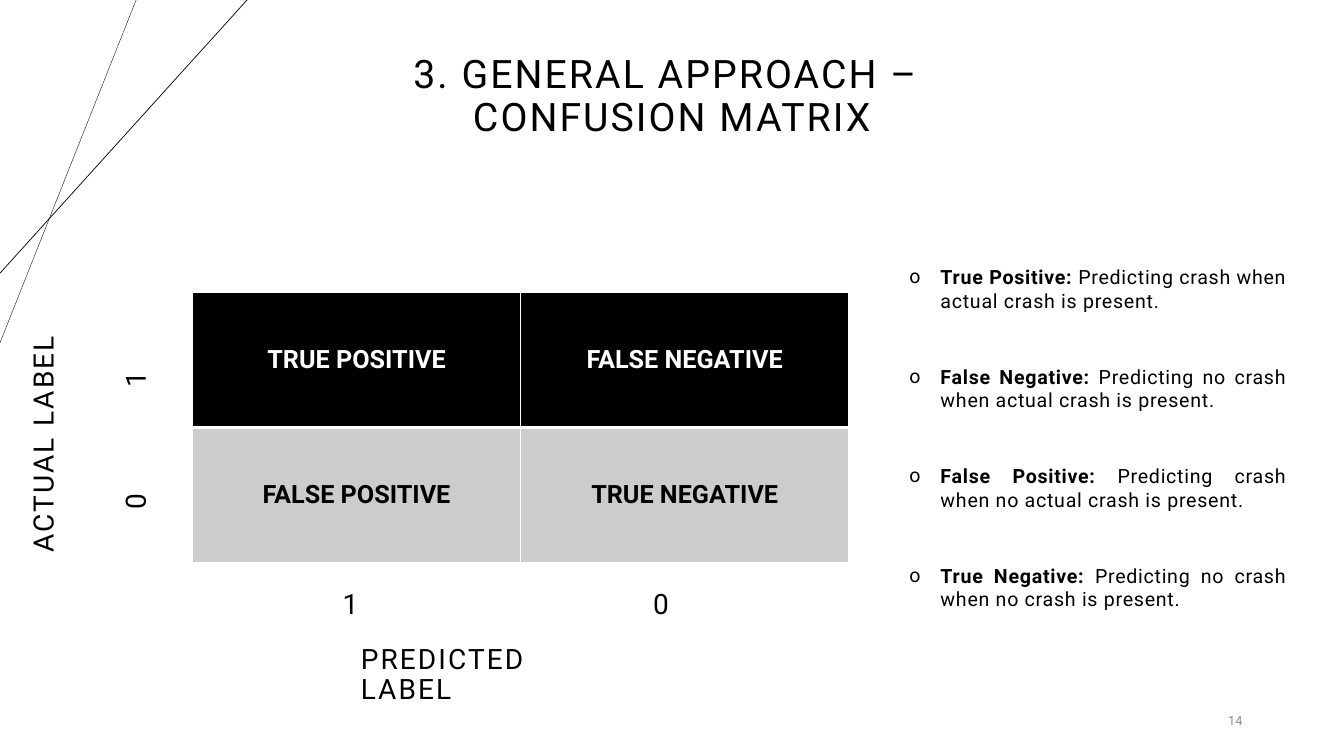
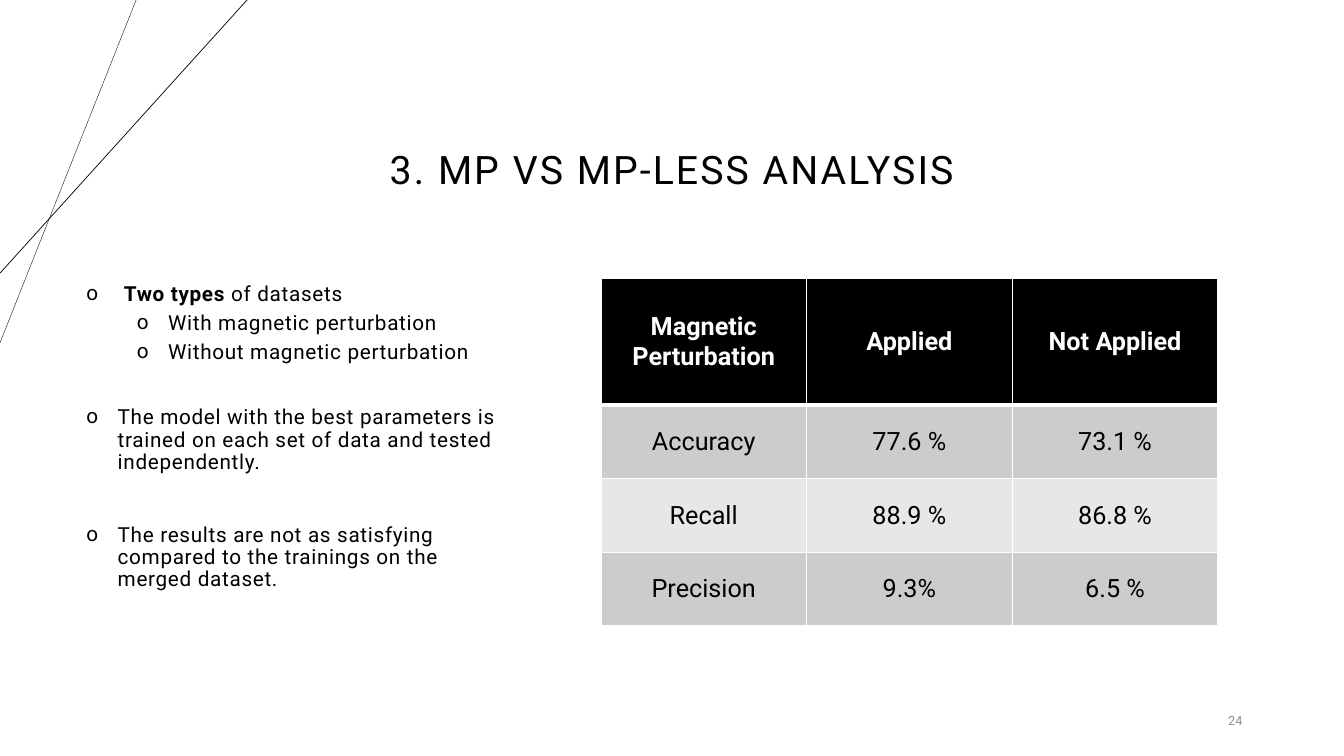
from dataclasses import dataclass

from lxml.etree import SubElement
from pptx import Presentation
from pptx.dml.color import RGBColor
from pptx.enum.text import MSO_ANCHOR, MSO_AUTO_SIZE, PP_ALIGN
from pptx.oxml.ns import qn
from pptx.util import Inches, Pt


@dataclass(frozen=True)
class Theme:
    font: str = "Roboto"
    ink: str = "000000"
    paper: str = "FFFFFF"
    muted: str = "8C8C8C"
    band_dark: str = "CCCCCC"
    band_light: str = "E7E7E7"
    title_size: float = 28
    axis_size: float = 20
    table_size: float = 18
    number_size: float = 9
    wide_tracking: float = 1.5
    body_tracking: float = 0.5


@dataclass(frozen=True)
class Box:
    """A region of the slide, in inches."""
    left: float
    top: float
    width: float
    height: float

    def lengths(self):
        return [Inches(n) for n in (self.left, self.top, self.width, self.height)]


@dataclass(frozen=True)
class Bullet:
    """A list item: (text, bold) runs, space before in points, indents in inches."""
    runs: tuple
    before: float = 0
    indent: float = 0.31
    hang: float = 0.31
    level: int = 0


THEME = Theme()
CORNER_LINES = (((1.35, 0), (0, 3.4), 0.25), ((2.45, 0), (0, 2.71), 0.5))


def add_run(paragraph, text, size, color=THEME.ink, bold=False, tracking=0):
    run = paragraph.add_run()
    run.text = text
    formats = {"name": THEME.font, "size": Pt(size), "bold": bold}
    for attribute, value in formats.items():
        setattr(run.font, attribute, value)
    run.font.color.rgb = RGBColor.from_string(color)
    if tracking:
        run._r.get_or_add_rPr().set("spc", str(int(tracking * 100)))


def add_frame(slide, box):
    area = slide.shapes.add_textbox(*box.lengths())
    area.text_frame.word_wrap = True
    return area


def add_corner_lines(slide):
    for start, end, weight in CORNER_LINES:
        points = [Inches(n) for n in (*start, *end)]
        line = slide.shapes.add_connector(1, *points)
        line.line.color.rgb = RGBColor.from_string(THEME.ink)
        line.line.width = Pt(weight)
        SubElement(line.element.spPr, qn("a:effectLst"))


def add_title(slide, lines, box):
    title = slide.shapes.title
    title.left, title.top, title.width, title.height = box.lengths()
    frame = title.text_frame
    formats = {"word_wrap": True, "auto_size": MSO_AUTO_SIZE.NONE,
               "vertical_anchor": MSO_ANCHOR.MIDDLE}
    for attribute, value in formats.items():
        setattr(frame, attribute, value)
    heading = frame.paragraphs[0]
    heading.alignment = PP_ALIGN.CENTER
    heading.line_spacing = 0.9
    for index, line in enumerate(lines):
        if index:
            heading.add_line_break()
        add_run(heading, line, THEME.title_size, tracking=THEME.wide_tracking)


def add_page_number(slide, number, box):
    frame = add_frame(slide, box).text_frame
    frame.vertical_anchor = MSO_ANCHOR.MIDDLE
    frame.paragraphs[0].alignment = PP_ALIGN.RIGHT
    add_run(frame.paragraphs[0], str(number), THEME.number_size, THEME.muted)


def start_slide(deck, title_lines, title_top, number):
    slide = deck.slides.add_slide(deck.slide_layouts[5])
    add_corner_lines(slide)
    add_title(slide, title_lines, Box(2.06, title_top, 9.21, 1.45))
    add_page_number(slide, number, Box(9.42, 6.95, 3, 0.4))
    return slide


def add_bullets(slide, bullets, box, size, spacing, align=PP_ALIGN.LEFT, inset=0.05):
    frame = add_frame(slide, box).text_frame
    frame.margin_top = Inches(inset)
    for index, bullet in enumerate(bullets):
        item = frame.add_paragraph() if index else frame.paragraphs[0]
        formats = {"level": bullet.level, "alignment": align,
                   "line_spacing": spacing, "space_before": Pt(bullet.before)}
        for attribute, value in formats.items():
            setattr(item, attribute, value)
        properties = item._p.get_or_add_pPr()
        properties.set("marL", str(Inches(bullet.indent)))
        properties.set("indent", str(-Inches(bullet.hang)))
        SubElement(properties, qn("a:buFont"), typeface=THEME.font)
        SubElement(properties, qn("a:buChar"), char="o")
        for text, bold in bullet.runs:
            add_run(item, text, size, bold=bold, tracking=THEME.body_tracking)


def add_cell_borders(cell, bottom):
    properties = cell._tc.get_or_add_tcPr()
    weights = {"a:lnL": 1, "a:lnR": 1, "a:lnT": 1, "a:lnB": bottom}
    for side, weight in weights.items():
        border = SubElement(properties, qn(side), w=str(Pt(weight)))
        fill = SubElement(border, qn("a:solidFill"))
        SubElement(fill, qn("a:srgbClr"), val=THEME.paper)


def add_grid(slide, rows, box, heights, bold_body=False):
    """Table with a black first row, then grey bands."""
    columns = len(rows[0])
    table = slide.shapes.add_table(len(rows), columns, *box.lengths()).table
    for column in table.columns:
        column.width = Inches(box.width / columns)
    for r, (texts, height) in enumerate(zip(rows, heights)):
        table.rows[r].height = Inches(height)
        header = r == 0
        band = THEME.band_dark if r % 2 else THEME.band_light
        for c, text in enumerate(texts):
            cell = table.cell(r, c)
            add_cell_borders(cell, bottom=3 if header else 1)
            cell.fill.solid()
            cell.fill.fore_color.rgb = RGBColor.from_string(THEME.ink if header else band)
            cell.vertical_anchor = MSO_ANCHOR.MIDDLE
            label = cell.text_frame.paragraphs[0]
            label.alignment = PP_ALIGN.CENTER
            add_run(label, text, THEME.table_size, THEME.paper if header else THEME.ink,
                    bold=header or bold_body)


def add_axis_label(slide, text, box, rotation=0, spacing=0.8):
    area = add_frame(slide, box)
    area.rotation = rotation
    label = area.text_frame.paragraphs[0]
    label.line_spacing = spacing
    add_run(label, text, THEME.axis_size, tracking=THEME.wide_tracking)


def add_confusion_matrix(slide, box):
    cells = (("TRUE POSITIVE", "FALSE NEGATIVE"), ("FALSE POSITIVE", "TRUE NEGATIVE"))
    add_grid(slide, cells, box, [box.height / 2] * 2, bold_body=True)
    for index, value in enumerate("10"):
        add_axis_label(slide, value, Box(box.left + 1.39 + 3.08 * index,
                                         box.top + 2.93, 0.37, 0.4))
        add_axis_label(slide, value, Box(box.left - 0.71,
                                         box.top + 0.66 + 1.21 * index, 0.37, 0.4), 270)
    add_axis_label(slide, "ACTUAL LABEL",
                   Box(box.left - 2.64, box.top + 1.28, 2.4, 0.4), 270)
    add_axis_label(slide, "PREDICTED LABEL",
                   Box(box.left + 1.57, box.top + 3.45, 2.6, 0.54), spacing=0.9)


def build_confusion_slide(deck):
    slide = start_slide(deck, ("3. GENERAL APPROACH – ", "CONFUSION MATRIX"), 0.24, 14)
    add_confusion_matrix(slide, Box(1.91, 2.9, 6.51, 2.68))
    definitions = (
        ("True Positive: ", "Predicting crash when actual crash is present."),
        ("False Negative: ", "Predicting no crash when actual crash is present."),
        ("False Positive: ", "Predicting crash when no actual crash is present."),
        ("True Negative: ", "Predicting no crash when no crash is present."),
    )
    bullets = [Bullet(((term, True), (meaning, False)), before=37.5 if index else 0)
               for index, (term, meaning) in enumerate(definitions)]
    add_bullets(slide, bullets, Box(8.92, 1.83, 3.94, 4.51), size=14, spacing=1.0,
                align=PP_ALIGN.JUSTIFY, inset=0.8)


def build_analysis_slide(deck):
    slide = start_slide(deck, ("3. MP VS MP-LESS ANALYSIS",), 0.98, 24)
    results = (
        ("Magnetic Perturbation", "Applied", "Not Applied"),
        ("Accuracy", "77.6 %", "73.1 %"),
        ("Recall", "88.9 %", "86.8 %"),
        ("Precision", "9.3%", "6.5 %"),
    )
    add_grid(slide, results, Box(5.96, 2.76, 6.12, 3.44), (1.26, 0.73, 0.73, 0.73))
    bullets = (
        Bullet((("Two types", True), (" of datasets", False)), indent=0.37, hang=0.37),
        Bullet((("With magnetic perturbation", False),), 5, indent=0.81, level=1),
        Bullet((("Without magnetic perturbation", False),), 5, indent=0.81, level=1),
        Bullet((("The model with the best parameters is trained on each set of data "
                 "and tested independently.", False),), 30.5),
        Bullet((("The results are not as satisfying compared to the trainings on the "
                 "merged dataset.", False),), 36),
    )
    add_bullets(slide, bullets, Box(0.76, 2.76, 4.44, 3.44), size=14.8, spacing=0.9)


def main():
    deck = Presentation()
    deck.slide_width, deck.slide_height = Inches(13.33), Inches(7.5)
    build_confusion_slide(deck)
    build_analysis_slide(deck)
    deck.save("out.pptx")


if __name__ == "__main__":
    main()
